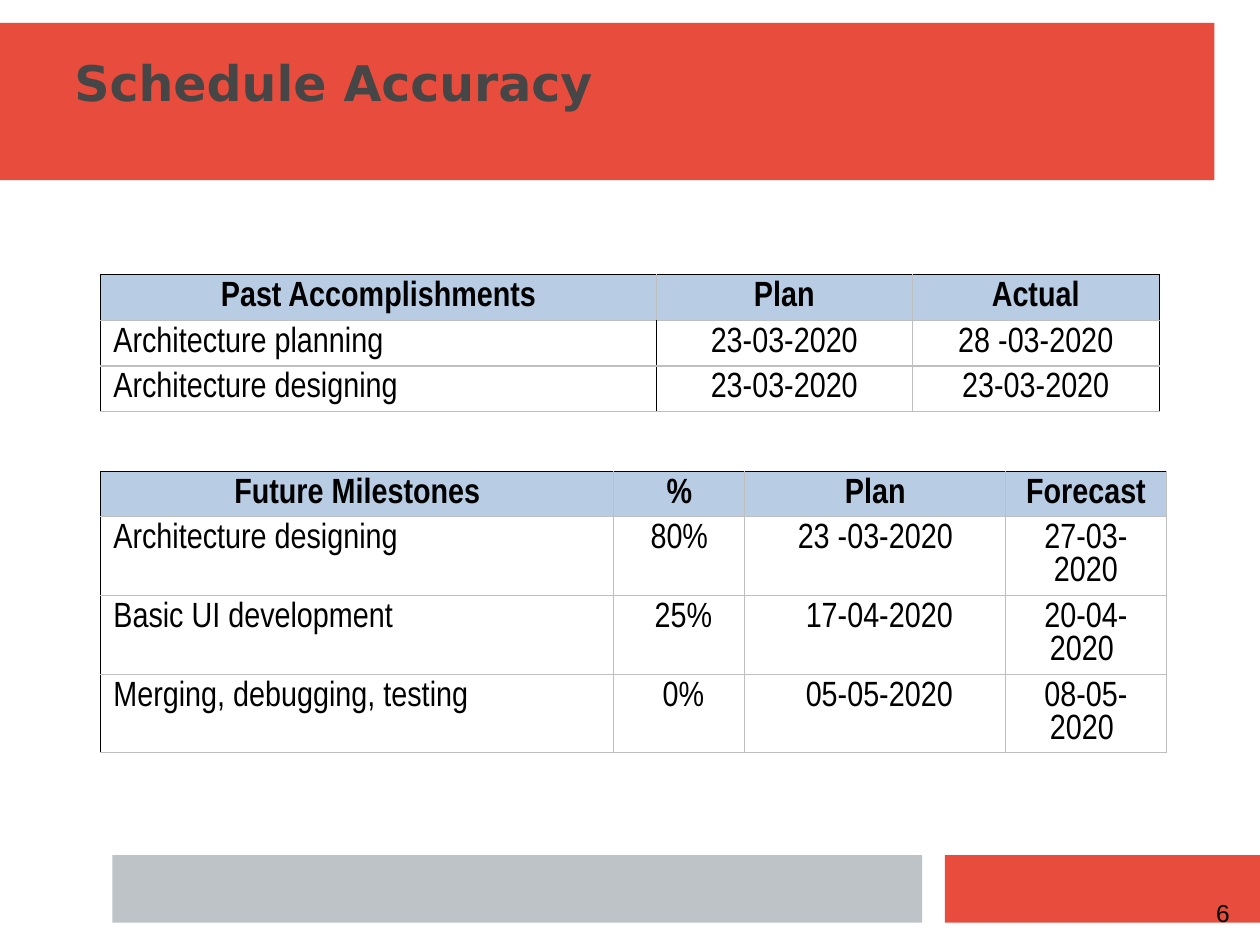
from lxml import etree
from pptx import Presentation
from pptx.dml.color import RGBColor
from pptx.enum.shapes import MSO_SHAPE
from pptx.enum.text import MSO_ANCHOR, PP_ALIGN
from pptx.oxml import parse_xml
from pptx.oxml.ns import nsdecls
from pptx.util import Pt

RECTANGLE = MSO_SHAPE.RECTANGLE
MIDDLE, BOTTOM = MSO_ANCHOR.MIDDLE, MSO_ANCHOR.BOTTOM
LEFT, CENTER, RIGHT = PP_ALIGN.LEFT, PP_ALIGN.CENTER, PP_ALIGN.RIGHT
RED, SILVER, HEADER_BLUE = "E74C3C", "BDC3C7", "B8CCE4"
BLACK, GRAY, TITLE_GRAY = "000000", "BFBFBF", "464646"


def format_paragraph(paragraph, name, size, color, bold, alignment):
    paragraph.alignment = alignment
    font = paragraph.font
    font.name, font.size, font.bold = name, Pt(size), bold
    font.color.rgb = RGBColor.from_string(color)


def set_borders(cell, colors):
    properties = cell._tc.get_or_add_tcPr()
    for index, (side, color) in enumerate(zip("LRTB", colors)):
        properties.insert(index, parse_xml(
            f'<a:ln{side} {nsdecls("a")} w="9400"><a:solidFill>'
            f'<a:srgbClr val="{color}"/></a:solidFill></a:ln{side}>'))


presentation = Presentation()
presentation.slide_width, presentation.slide_height = Pt(720), Pt(540)
slide = presentation.slides.add_slide(presentation.slide_layouts[5])
shapes = slide.shapes

bars = [
    (0, 13, 694, 90, RED),
    (540, 488.6, 180, 38.6, RED),
    (64.2, 488.6, 462.8, 38.6, SILVER),
]
for left, top, width, height, color in bars:
    bar = shapes.add_shape(RECTANGLE, Pt(left), Pt(top), Pt(width), Pt(height))
    bar.shadow.inherit = False
    bar.fill.solid()
    bar.fill.fore_color.rgb = RGBColor.from_string(color)
    bar.line.fill.background()

title = shapes.title
title.left, title.top, title.width, title.height = Pt(36), Pt(21.6), Pt(648), Pt(50.4)
shapes._spTree.append(title._element)
title_frame = title.text_frame
title_frame.text = "Schedule Accuracy"
title_frame.vertical_anchor = MIDDLE
title_frame.margin_left = title_frame.margin_right = Pt(6.5)
title_frame.margin_top = title_frame.margin_bottom = Pt(3)
format_paragraph(title_frame.paragraphs[0], "DejaVu Sans", 28, TITLE_GRAY, True, LEFT)

accomplishments = [
    ["Past Accomplishments", "Plan", "Actual"],
    ["Architecture planning", "23-03-2020", "28 -03-2020"],
    ["Architecture designing", "23-03-2020", "23-03-2020"],
]
milestones = [
    ["Future Milestones", "%", "Plan", "Forecast"],
    ["Architecture designing", "80%", "23 -03-2020", "27-03-2020"],
    ["Basic UI development", "\u00a025%", "\u00a017-04-2020", "20-04-2020\u00a0"],
    ["Merging, debugging, testing", "\u00a00%", "\u00a005-05-2020", "08-05-2020\u00a0"],
]
tables = [
    (157, [317.5, 146.2, 141.2], accomplishments, BLACK),
    (269.3, [293.2, 74.8, 149.2, 91.6], milestones, GRAY),
]
row_height = 23
for top, widths, rows, accent in tables:
    table = shapes.add_table(
        len(rows), len(widths), Pt(57.6), Pt(top),
        Pt(sum(widths)), Pt(row_height * len(rows))).table
    for column, width in zip(table.columns, widths):
        column.width = Pt(width)
    last = len(widths) - 1
    for row_index, row in enumerate(rows):
        table.rows[row_index].height = Pt(row_height)
        is_header = row_index == 0
        for column_index, text in enumerate(row):
            cell = table.cell(row_index, column_index)
            cell.text = text
            if is_header:
                cell.fill.solid()
                cell.fill.fore_color.rgb = RGBColor.from_string(HEADER_BLUE)
            else:
                cell.fill.background()
            divider = GRAY if is_header else accent
            left_color = {0: BLACK, 1: divider}.get(column_index, GRAY)
            right_color = {0: divider, last: accent}.get(column_index, GRAY)
            top_color = BLACK if is_header else GRAY
            set_borders(cell, (left_color, right_color, top_color, GRAY))
            alignment = CENTER if is_header or column_index else LEFT
            format_paragraph(cell.text_frame.paragraphs[0], "Arial Narrow", 20,
                             BLACK, is_header, alignment)

number_box = shapes.add_textbox(Pt(681), Pt(504.7), Pt(28.8), Pt(28.8))
number_frame = number_box.text_frame
number_frame.word_wrap = True
number_frame.vertical_anchor = BOTTOM
number_frame.text = "6"
format_paragraph(number_frame.paragraphs[0], "Arial", 14, BLACK, False, RIGHT)

presentation.save("out.pptx")
